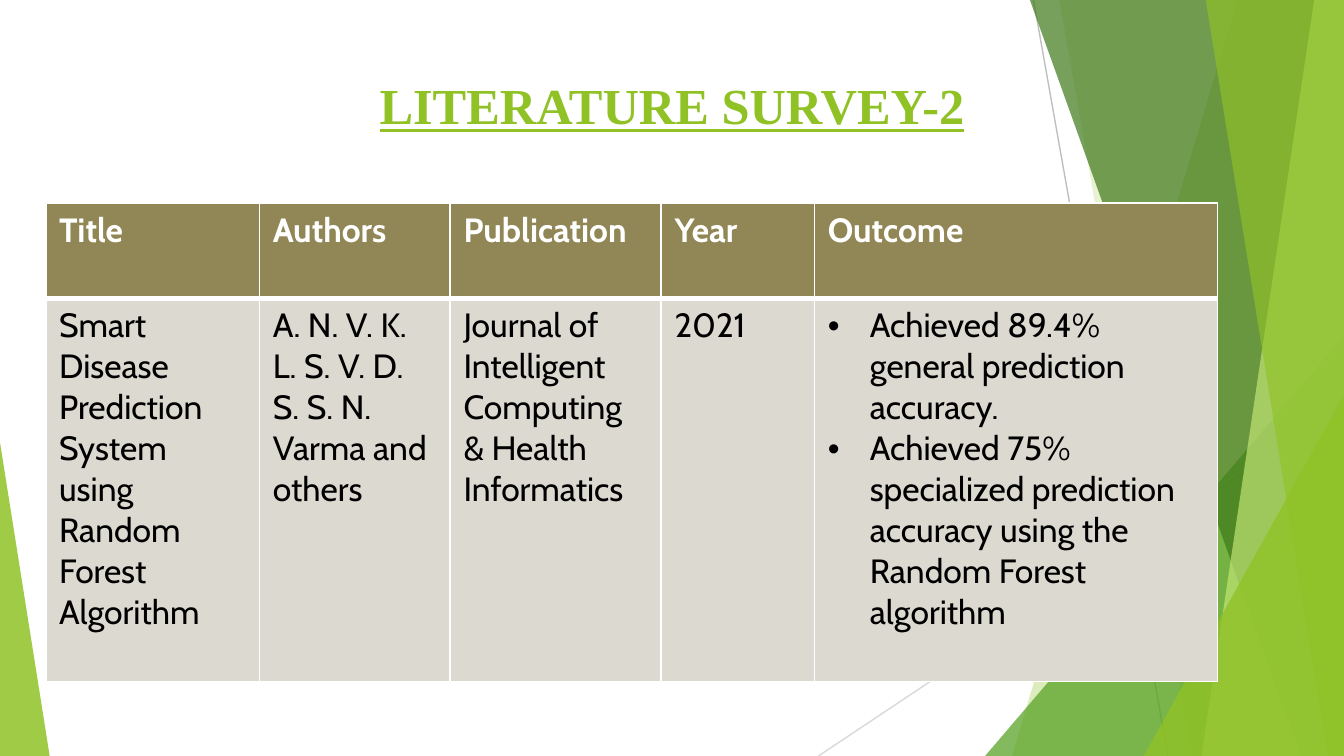
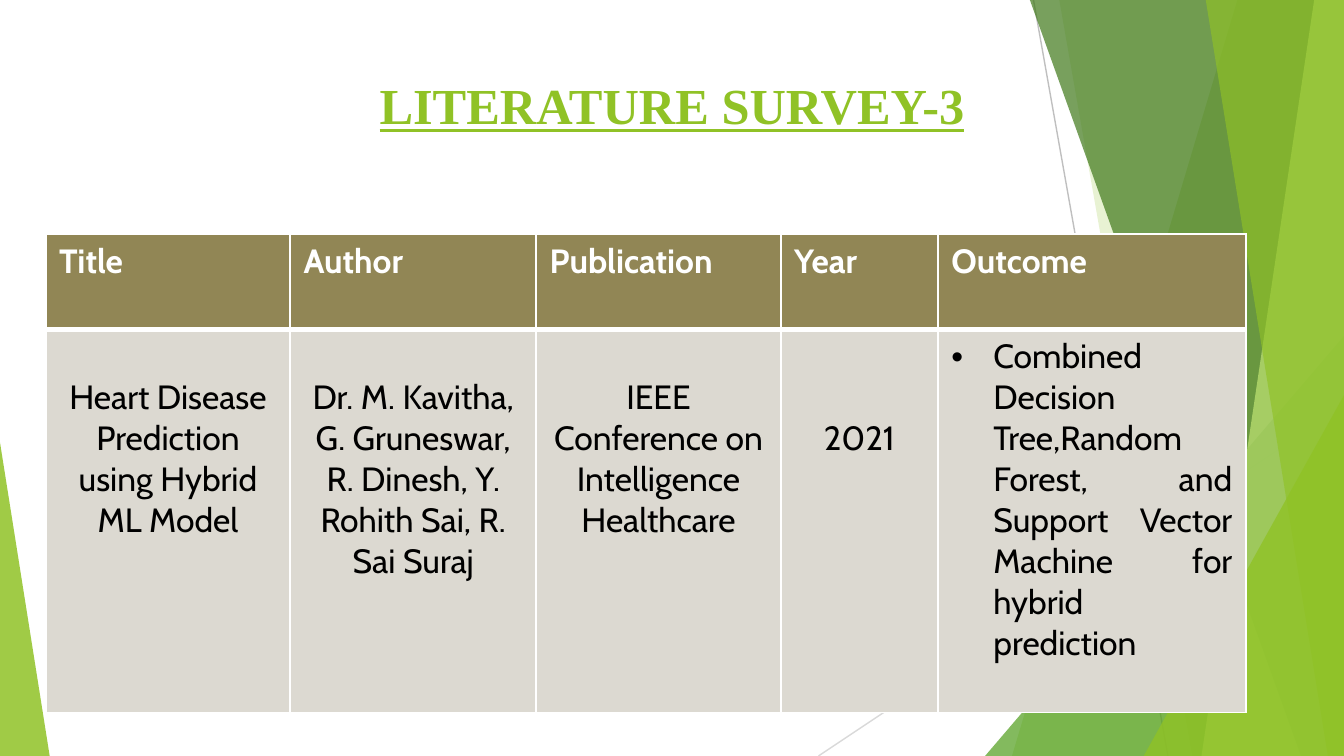
from dataclasses import dataclass

from lxml import etree
from pptx import Presentation
from pptx import util as u
from pptx.dml.color import RGBColor
from pptx.enum import shapes, text
from pptx.oxml.ns import qn

IN = u.Inches
ALIGN = text.PP_ALIGN


@dataclass(frozen=True)
class Theme:
    wide: float = 10
    high: float = 10 * 9 / 16
    edge: float = 0.34
    lime: str = "90C226"
    leaf: str = "54A021"
    moss: str = "3F7819"
    pale: str = "C0E474"
    olive: str = "918655"
    sand: str = "DCD9D1"
    white: str = "FFFFFF"
    black: str = "000000"
    head: str = "Times New Roman"
    body: str = "Cabin"
    big: float = 27
    size: float = 18
    line: float = 0.305  # height of one table text line


T = Theme()
ROWS = (0.71, 2.85)
INDENT = u.Pt(22.5)

# Lines: start, end, colour
RAYS = [
    ((7.69, 0), (8.69, T.high), "BFBFBF"),
    ((10, 3.02), (6.09, T.high), "D9D9D9"),
]
# Right-hand shards: top x, bottom x, colour, opacity
BACK = [(9.21, 7.53, T.lime, 30), (7.88, 8.87, T.lime, 20)]
FRONT = [
    (7.66, 9.68, T.moss, 70),
    (9.78, 8.94, T.pale, 70),
    (8.97, 9.88, T.lime, 65),
]


def rgb(code):
    return RGBColor.from_string(code)


def sub(node, tag, **attrs):
    return etree.SubElement(node, qn(tag), attrs)


def style(font, **form):
    form = {"name": T.body, "size": u.Pt(T.size), **form}
    font.color.rgb = rgb(form.pop("color"))
    for key, val in form.items():
        setattr(font, key, val)


# Backdrop parts
def tint(shape, color, alpha):
    shape.shadow.inherit = False
    shape.fill.solid()
    shape.fill.fore_color.rgb = rgb(color)
    shape.line.fill.background()
    tone = shape.element.spPr.find(qn("a:solidFill"))[0]
    sub(tone, "a:alpha", val=str(alpha * 1000))


def ray(group, start, end, color):
    line = group.shapes.add_connector(
        shapes.MSO_CONNECTOR.STRAIGHT, *map(IN, start + end))
    line.line.color.rgb = rgb(color)
    line.line.width = u.Pt(0.75)
    sub(line.element.spPr, "a:effectLst")


def shard(group, top, base, color, alpha):
    rise = IN(-0.01)
    right, floor = IN(T.wide), IN(T.high)
    pen = group.shapes.build_freeform(IN(top), rise)
    pen.add_line_segments([(right, rise), (right, floor), (IN(base), floor)])
    tint(pen.convert_to_shape(), color, alpha)


def wedge(group, left, top, width, peak, color, alpha):
    shape = group.shapes.add_shape(
        shapes.MSO_SHAPE.ISOSCELES_TRIANGLE,
        *map(IN, (left, top, width, T.high - top)))
    shape.adjustments[0] = peak
    tint(shape, color, alpha)


def backdrop(slide):
    """Draw the shared decoration and hand it to the slide's layout."""
    group = slide.shapes.add_group_shape()
    for item in RAYS:
        ray(group, *item)
    for item in BACK:
        shard(group, *item)
    wedge(group, 7.33, 2.5, 2.67, 1, T.leaf, 72)
    for item in FRONT:
        shard(group, *item)
    wedge(group, 8.51, 2.94, 1.49, 1, T.lime, 80)
    wedge(group, 0, 3.29, 0.37, 0, T.lime, 85)
    for num, node in enumerate(group.element.iter(qn("p:cNvPr")), 101):
        node.set("id", str(num))
    slide.slide_layout.shapes.element.insert(2, group.element)


def fit(deck, layout):
    """Match the template's placeholders to the slide height."""
    for item in list(layout.placeholders):
        if item.placeholder_format.type != shapes.PP_PLACEHOLDER.TITLE:
            item.element.getparent().remove(item.element)
    for item in deck.slide_master.placeholders:
        item.top, item.height = (
            int(val * T.high / 7.5) for val in (item.top, item.height))


# Title and table parts
def title(slide, words):
    box = slide.shapes.title
    spot = (T.edge, 0.45, T.wide - 2 * T.edge, 0.66)
    for key, val in zip(("left", "top", "width", "height"), spot):
        setattr(box, key, IN(val))
    frame = box.text_frame
    form = {"auto_size": text.MSO_AUTO_SIZE.NONE, "word_wrap": True,
            "vertical_anchor": text.MSO_ANCHOR.MIDDLE}
    form.update({f"margin_{side}": IN(0.1)
                 for side in ("left", "top", "right", "bottom")})
    for key, val in form.items():
        setattr(frame, key, val)
    para = frame.paragraphs[0]
    para.alignment = ALIGN.CENTER
    run = para.add_run()
    run.text = words
    style(run.font, name=T.head, size=u.Pt(T.big), color=T.lime,
          bold=True, underline=True)


def border(cell, top, base):
    props = cell._tc.get_or_add_tcPr()
    widths = {"L": 1, "R": 1, "T": top, "B": base}
    for spot, (side, width) in enumerate(widths.items()):
        line = etree.Element(qn(f"a:ln{side}"), w=str(u.Pt(width)))
        sub(sub(line, "a:solidFill"), "a:srgbClr", val=T.white)
        props.insert(spot, line)


def bullet(para):
    props = para._p.get_or_add_pPr()
    props.set("marL", str(INDENT))
    props.set("indent", str(-INDENT))
    sub(props, "a:buFont", typeface="Arial")
    sub(props, "a:buChar", char="•")


def fill(cell, words, head, align=ALIGN.LEFT, drop=0):
    """Write one cell; a list of words becomes bullets."""
    cell.fill.solid()
    cell.fill.fore_color.rgb = rgb(T.olive if head else T.sand)
    border(cell, *((1, 3) if head else (3, 1)))
    cell.margin_top = IN(0.05 + drop * T.line)
    listed = isinstance(words, list)
    for num, item in enumerate(words if listed else [words]):
        frame = cell.text_frame
        para = frame.add_paragraph() if num else frame.paragraphs[0]
        para.alignment = align
        if listed:
            bullet(para)
        run = para.add_run()
        run.text = item
        style(run.font, bold=head, color=T.white if head else T.black)


def survey(slide, top, cols, heads, cells, forms):
    table = slide.shapes.add_table(
        2, len(cols), IN(T.edge), IN(top), IN(sum(cols)), IN(sum(ROWS))).table
    for row, high in zip(table.rows, ROWS):
        row.height = IN(high)
    for num, width in enumerate(cols):
        table.columns[num].width = IN(width)
        fill(table.cell(0, num), heads[num], True)
        fill(table.cell(1, num), cells[num], False, *forms[num])


def main():
    deck = Presentation()
    deck.slide_width, deck.slide_height = IN(T.wide), IN(T.high)
    layout = deck.slide_layouts[5]
    fit(deck, layout)

    # Survey 2
    slide = deck.slides.add_slide(layout)
    backdrop(slide)
    title(slide, "LITERATURE SURVEY-2")
    survey(
        slide, 1.51, (1.59, 1.42, 1.57, 1.14, 3),
        ("Title", "Authors", "Publication", "Year", "Outcome"),
        ("Smart Disease Prediction System using Random Forest Algorithm",
         "A. N. V. K. L. S. V. D. S. S. N. Varma and others",
         "Journal of Intelligent Computing & Health Informatics",
         "2021",
         ["Achieved 89.4% general prediction accuracy.",
          "Achieved 75% specialized prediction accuracy using the "
          "Random Forest algorithm"]),
        [()] * 5)

    # Survey 3
    slide = deck.slides.add_slide(layout)
    title(slide, "LITERATURE SURVEY-3")
    survey(
        slide, 1.74, (1.82, 1.83, 1.82, 1.17, 2.29),
        ("Title", "Author", "Publication", "Year", "Outcome"),
        ("Heart Disease Prediction using Hybrid ML Model",
         "Dr. M. Kavitha, G. Gruneswar, R. Dinesh, Y. Rohith Sai, "
         "R. Sai Suraj",
         "IEEE Conference on Intelligence Healthcare",
         "2021",
         ["Combined Decision Tree,Random Forest, and Support Vector "
          "Machine for hybrid prediction"]),
        [(ALIGN.CENTER, 1)] * 3 + [(ALIGN.CENTER, 2), (ALIGN.JUSTIFY,)])

    deck.save("out.pptx")


if __name__ == "__main__":
    main()
